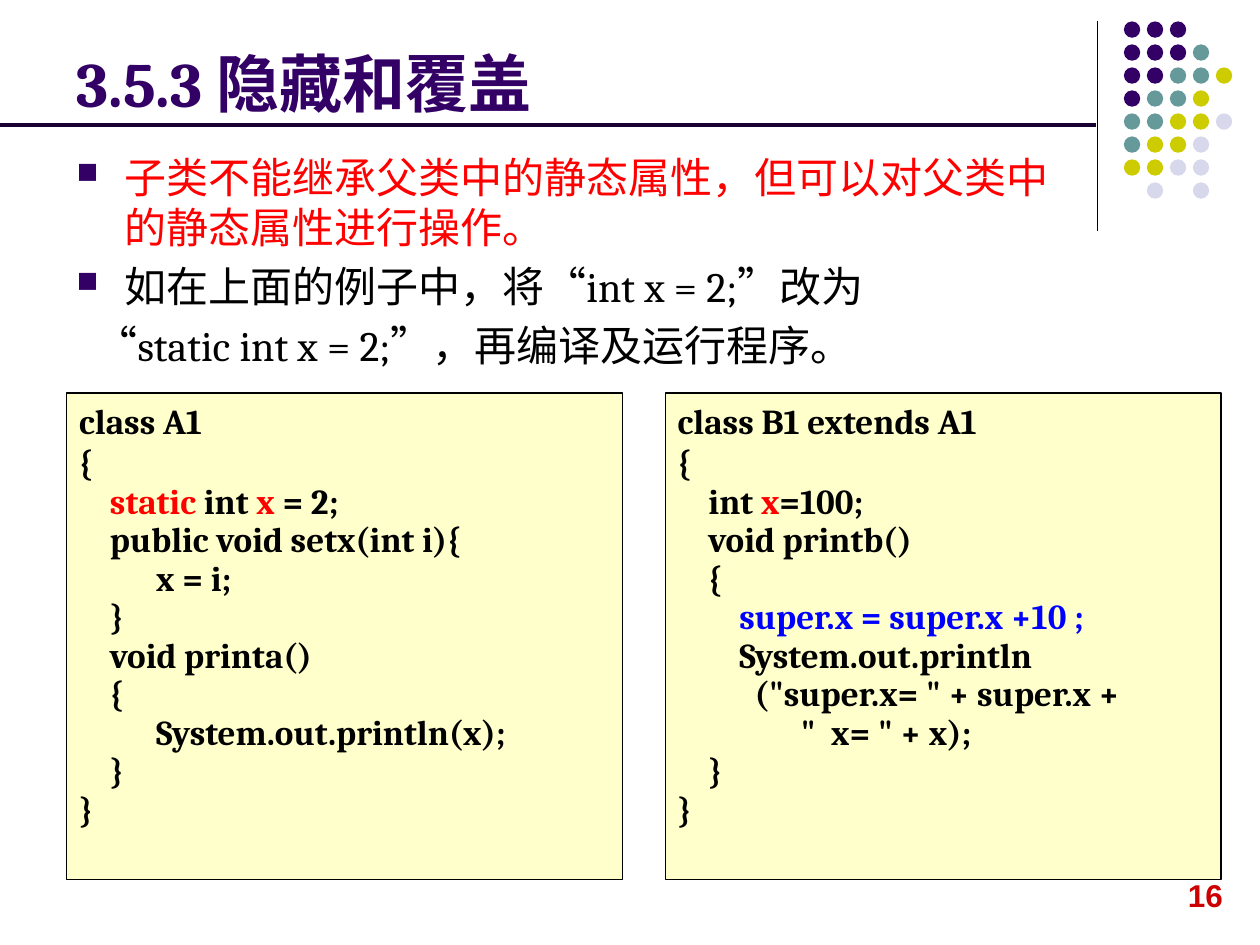
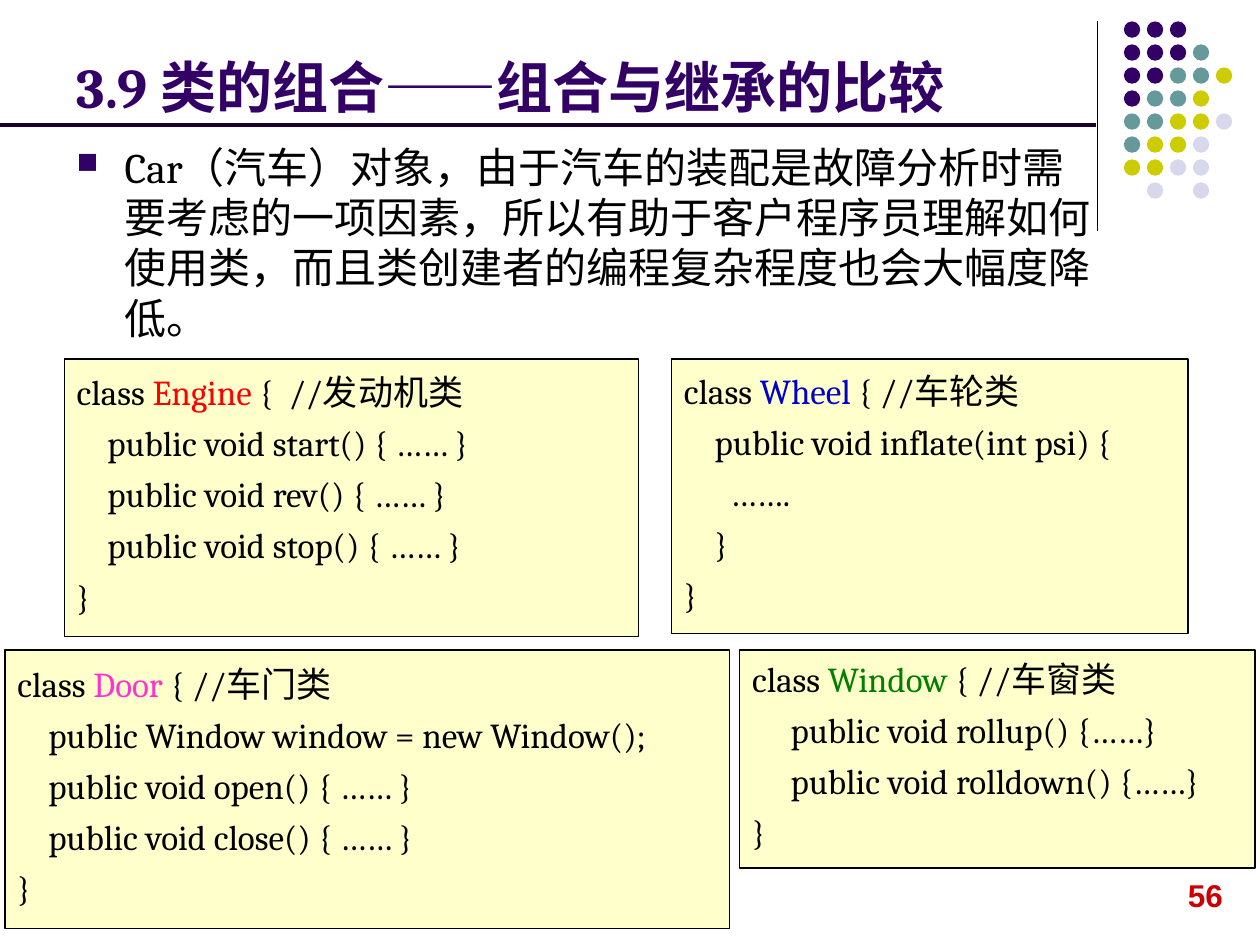
"""Build two lecture slides on hiding, overriding and composition of classes."""
import pptx
import pptx.dml.color
import pptx.enum.shapes
import pptx.enum.text
import pptx.oxml
import pptx.oxml.ns
import pptx.util
from pptx.util import Inches, Pt

COLORS = {
    "purple": "330066", "teal": "669999", "olive": "CCCC00", "lilac": "D8D8EC",
    "rule": "190033", "black": "000000", "cream": "FFFFCC", "number": "CC0000",
    "red": "FF0000", "blue": "0000FF", "navy": "0000CC", "pink": "FF33CC",
    "green": "008000",
}
LATIN, CHINESE = "Cambria", "Noto Sans CJK SC"
DOT_COLORS = {"P": "purple", "T": "teal", "O": "olive", "L": "lilac"}
DOT_ROWS = ["PPP", "PPPT", "PPTTO", "PTTO", "TTOOL", "TOOL", "OOLL", " L L"]
DOT_LEFT, DOT_TOP, DOT_SIZE, DOT_STEP = 8.92, 0.17, 0.13, 0.73 / 4
TITLE_AREA = (0.51, 0.21, 8.25, 0.79)
NUMBER_AREA = (9.33, 6.9, 0.48, 0.4)
HANGING, CONTINUED = 0.38, 0.15

HIDING_STYLE = {"bold": True, "spacing": 0.5, "first_spacing": 1.0, "anchor": "TOP"}
PARTS_STYLE = {"bold": False, "spacing": 0.8, "first_spacing": 0.8, "anchor": "MIDDLE"}

SLIDES = [
    {
        "number": "16",
        "title": [("3.5.3 隐藏和覆盖", LATIN)],
        "title_size": 36,
        "body_area": (0.51, 1.15, 8.12, 1.97),
        "body": [
            ("子类不能继承父类中的静态属性，但可以对父类中的静态属性进行操作。", "red", True),
            ("如在上面的例子中，将“int x = 2;”改为", "black", True),
            ("“static int x = 2;”，再编译及运行程序。", "black", False),
        ],
        "style": HIDING_STYLE,
        "code": [
            ((0.53, 3.12, 4.41, 3.86), [
                "class A1",
                "{",
                [("    static ", "red"), ("int ", "black"), ("x ", "red"), ("= 2;", "black")],
                "    public void setx(int i){",
                "          x = i;",
                "    }",
                "    void printa()",
                "    {",
                "          System.out.println(x);",
                "    }",
                "}",
            ]),
            ((5.28, 3.12, 4.41, 3.86), [
                "class B1 extends A1",
                "{",
                [("    int ", "black"), ("x", "red"), ("=100;", "black")],
                "    void printb()",
                "    {",
                [("        super.x = super.x +10 ;", "blue")],
                "        System.out.println",
                '          ("super.x= " + super.x +',
                '                "  x= " + x);',
                "    }",
                "}",
            ]),
        ],
    },
    {
        "number": "56",
        "title": [("3.9 类的组合", LATIN), ("——组合与继承的比较", CHINESE)],
        "title_size": 32,
        "body_area": (0.51, 1.07, 8.25, 1.89),
        "body": [
            ("Car（汽车）对象，由于汽车的装配是故障分析时需要考虑的一项因素，"
             "所以有助于客户程序员理解如何使用类，而且类创建者的编程复杂程度也会大幅度降低。",
             "black", True),
        ],
        "style": PARTS_STYLE,
        "code": [
            ((0.51, 2.85, 4.56, 2.2), [
                [("class ", "black"), ("Engine", "red"), (" {  //发动机类", "black")],
                "    public void start() { …… }",
                "    public void rev() { …… }",
                "    public void stop() { …… }",
                "}",
            ]),
            ((5.33, 2.85, 4.1, 2.18), [
                [("class ", "black"), ("Wheel", "navy"), (" { //车轮类", "black")],
                "    public void inflate(int psi) {",
                "      …….",
                "    }",
                "}",
            ]),
            ((5.87, 5.16, 4.09, 1.73), [
                [("class ", "black"), ("Window", "green"), (" { //车窗类", "black")],
                "     public void rollup() {……}",
                "     public void rolldown() {……}",
                "}",
            ]),
            ((0.04, 5.16, 5.75, 2.21), [
                [("class ", "black"), ("Door ", "pink"), ("{ //车门类", "black")],
                "    public Window window = new Window();",
                "    public void open() { …… }",
                "    public void close() { …… }",
                "}",
            ]),
        ],
    },
]


def color(name):
    return pptx.dml.color.RGBColor.from_string(COLORS[name])


def inches(area):
    return [Inches(value) for value in area]


def add_element(parent, tag, **attributes):
    element = pptx.oxml.parse_xml(f"<a:{tag} {pptx.oxml.ns.nsdecls('a')}/>")
    for key, value in attributes.items():
        element.set(key, value)
    parent.append(element)
    return element


def set_font(para, size, name, tint, bold=False):
    font = para.font
    font.size, font.name, font.bold = Pt(size), name, bold
    font.color.rgb = color(tint)
    defaults = para._p.get_or_add_pPr().find(pptx.oxml.ns.qn("a:defRPr"))
    add_element(defaults, "ea", typeface=CHINESE)


def paragraphs(frame, count):
    return [frame.paragraphs[0]] + [frame.add_paragraph() for _ in range(count - 1)]


def add_line(page, start, end, tint, width):
    line = page.shapes.add_connector(
        pptx.enum.shapes.MSO_CONNECTOR.STRAIGHT, *inches(start + end))
    line.line.color.rgb, line.line.width = color(tint), Pt(width)
    add_element(line._element.spPr, "effectLst")


def add_dots(page):
    group = page.shapes.add_group_shape()
    for row, marks in enumerate(DOT_ROWS):
        for column, mark in enumerate(marks):
            if mark in DOT_COLORS:
                area = (DOT_LEFT + column * DOT_STEP, DOT_TOP + row * DOT_STEP,
                        DOT_SIZE, DOT_SIZE)
                dot = group.shapes.add_shape(
                    pptx.enum.shapes.MSO_SHAPE.OVAL, *inches(area))
                dot.shadow.inherit = False
                dot.fill.solid()
                dot.fill.fore_color.rgb = color(DOT_COLORS[mark])
                dot.line.fill.background()


def add_number(page, number):
    frame = page.shapes.add_textbox(*inches(NUMBER_AREA)).text_frame
    frame.word_wrap = False
    frame.text = number
    set_font(frame.paragraphs[0], 18, "Arial", "number", True)


def add_title(page, parts, size):
    frame = page.shapes.add_textbox(*inches(TITLE_AREA)).text_frame
    frame.word_wrap = True
    frame.vertical_anchor = pptx.enum.text.MSO_ANCHOR.BOTTOM
    para = frame.paragraphs[0]
    set_font(para, size, LATIN, "purple", True)
    for text, name in parts:
        span = para.add_run()
        span.text = text
        if name != LATIN:
            span.font.name = name


def add_body(page, area, items):
    frame = page.shapes.add_textbox(*inches(area)).text_frame
    frame.word_wrap = True
    for index, para in enumerate(paragraphs(frame, len(items))):
        text, tint, bulleted = items[index]
        para.text = text
        if index:
            para.space_before = Pt(5)
        properties = para._p.get_or_add_pPr()
        indent = HANGING if bulleted else CONTINUED
        properties.set("marL", str(Inches(HANGING if bulleted else 0)))
        properties.set("indent", str(Inches(-indent if bulleted else indent)))
        if bulleted:
            add_element(add_element(properties, "buClr"), "srgbClr", val=COLORS["purple"])
            add_element(properties, "buSzPct", val="70000")
            add_element(properties, "buChar", char="■")
        set_font(para, 24, LATIN, tint)


def add_code(page, area, lines, style):
    box = page.shapes.add_shape(pptx.enum.shapes.MSO_SHAPE.RECTANGLE, *inches(area))
    box.shadow.inherit = False
    box.fill.solid()
    box.fill.fore_color.rgb = color("cream")
    box.line.color.rgb, box.line.width = color("black"), Pt(0.75)
    frame = box.text_frame
    frame.word_wrap = True
    frame.vertical_anchor = pptx.enum.text.MSO_ANCHOR[style["anchor"]]
    for index, para in enumerate(paragraphs(frame, len(lines))):
        para.alignment = pptx.enum.text.PP_ALIGN.LEFT
        para.line_spacing = style["spacing" if index else "first_spacing"]
        if index:
            para.space_before = Pt(10)
        set_font(para, 20, LATIN, "black", style["bold"])
        line = lines[index]
        for text, tint in [(line, "black")] if isinstance(line, str) else line:
            span = para.add_run()
            span.text = text
            span.font.color.rgb = color(tint)


def add_page(deck, content):
    page = deck.slides.add_slide(deck.slide_layouts[6])
    add_line(page, (8.71, 0.17), (8.71, 1.83), "black", 0.75)
    add_dots(page)
    add_number(page, content["number"])
    add_title(page, content["title"], content["title_size"])
    add_body(page, content["body_area"], content["body"])
    for area, lines in content["code"]:
        add_code(page, area, lines, content["style"])
    add_line(page, (0, 0.99), (8.7, 0.99), "rule", 2.25)


def main():
    deck = pptx.Presentation()
    deck.slide_width, deck.slide_height = Inches(10), Inches(7.5)
    for content in SLIDES:
        add_page(deck, content)
    deck.save("out.pptx")


if __name__ == "__main__":
    main()
